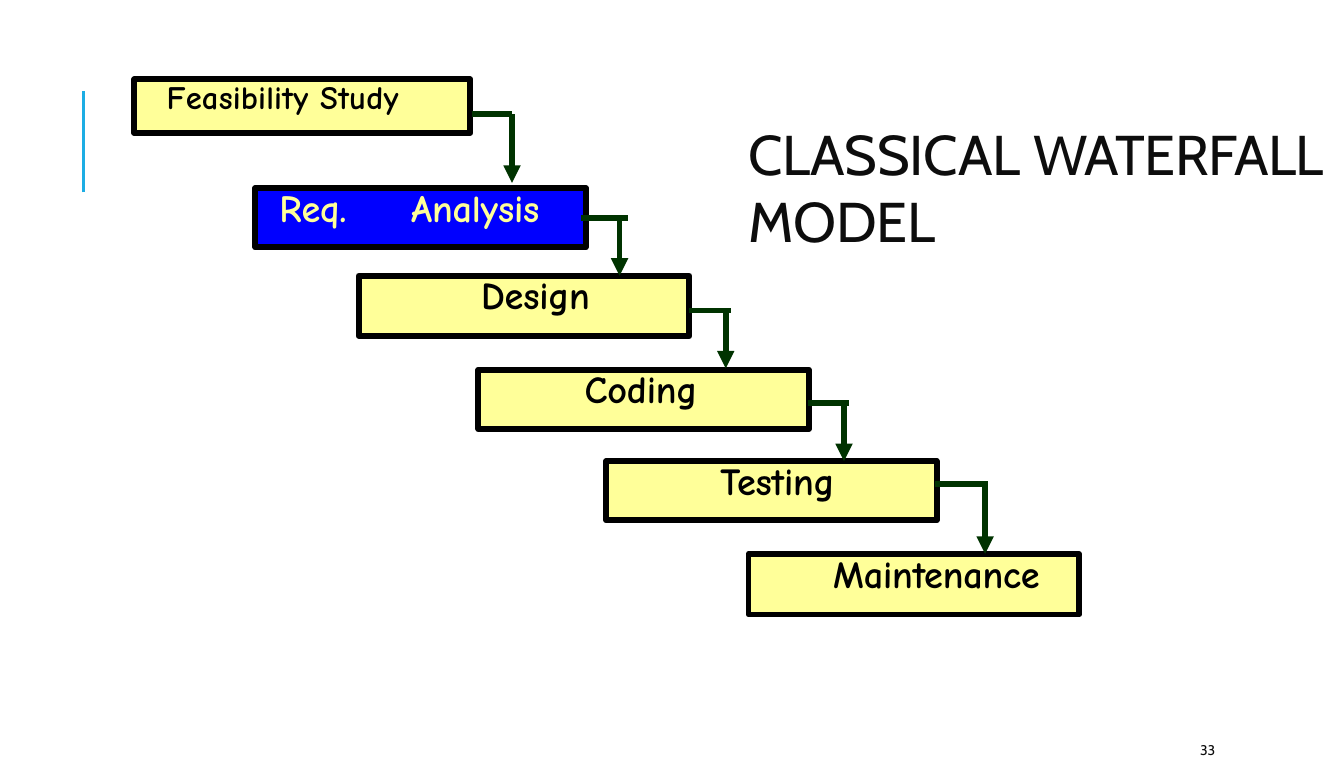
from lxml import etree
from pptx import Presentation
from pptx.dml.color import RGBColor
from pptx.enum.shapes import MSO_CONNECTOR, MSO_SHAPE
from pptx.enum.text import MSO_ANCHOR, MSO_AUTO_SIZE, PP_ALIGN
from pptx.oxml.ns import qn
from pptx.util import Emu, Pt

LINE, RECT = MSO_CONNECTOR.STRAIGHT, MSO_SHAPE.RECTANGLE
TOP, MID, LEFT = MSO_ANCHOR.TOP, MSO_ANCHOR.MIDDLE, PP_ALIGN.LEFT
FIXED = MSO_AUTO_SIZE.NONE

INK = RGBColor(0x0D, 0x0D, 0x0D)
BLACK = RGBColor(0, 0, 0)
SAND = RGBColor(0xFF, 0xFF, 0x99)
BLUE = RGBColor(0, 0, 0xFF)
GREEN = RGBColor(0, 0x33, 0)
SKY = RGBColor(0x1C, 0xAD, 0xE4)

HEAD_FONT, STEP_FONT = "Cabin", "Comic Neue"
SCALE = 9144  # EMU in a px, 100 px to the inch

# Text, box (left, top, width, height), text indent
STEPS = [
    ("Feasibility Study", (100, 59, 250, 40), 24),
    ("Req.\tAnalysis", (190, 140, 246, 44), 18),
    ("Design", (267, 205, 246, 45), 91),
    ("Coding", (356, 275, 246, 44), 79),
    ("Testing", (451, 343, 246, 44), 85),
    ("Maintenance", (557, 412, 246, 45), 63),
]
# Stub start, stub end, stem x, top, tip
ARROWS = [
    (351, 381, 381, 85, 136),
    (432, 467, 461, 162, 205),
    (513, 544, 540, 231, 274),
    (601, 632, 628, 300, 343),
    (696, 735, 733, 360, 412),
]


def px(count):
    return Emu(count * SCALE)


def assign(item, values):
    for name, value in values.items():
        setattr(item, name, value)


def set_frame(shape, anchor, indent=0):
    frame = shape.text_frame
    assign(frame, {
        "word_wrap": True, "auto_size": FIXED, "vertical_anchor": anchor,
        "margin_left": px(indent), "margin_right": 0,
        "margin_top": 0, "margin_bottom": 0,
    })
    para = frame.paragraphs[0]
    para.alignment = LEFT
    return para


def add_run(para, text, font, size, color, bold=False, track=-10):
    run = para.add_run()
    run.text = text
    assign(run.font, {"name": font, "size": Pt(size), "bold": bold})
    run.font.color.rgb = color
    run.font._element.set("spc", str(track))


def add_line(slide, start, end, color, width, arrow=False):
    line = slide.shapes.add_connector(LINE, *map(px, start + end))
    line.line.color.rgb = color
    line.line.width = Pt(width)
    if arrow:
        etree.SubElement(line.line._get_or_add_ln(), qn("a:tailEnd"),
                         type="triangle", w="med", len="med")
    etree.SubElement(line._element.spPr, qn("a:effectLst"))


def add_tab(para, place):
    tabs = etree.SubElement(para._p.get_or_add_pPr(), qn("a:tabLst"))
    etree.SubElement(tabs, qn("a:tab"), pos=str(px(place)), algn="l")


def add_step(slide, text, box, indent, first, active):
    shape = slide.shapes.add_shape(RECT, *map(px, box))
    shape.shadow.inherit = False
    shape.fill.solid()
    shape.fill.fore_color.rgb = BLUE if active else SAND
    shape.line.color.rgb = BLACK
    shape.line.width = Pt(3.12)
    para = set_frame(shape, TOP, indent)
    para.line_spacing = Pt(19.9 if first else 22.4)
    if "\t" in text:
        add_tab(para, 98)
    add_run(para, text, STEP_FONT, 17.5 if first else 20.5,
            SAND if active else BLACK, True, 10 if first else -10)


def add_title(slide):
    title = slide.shapes.title
    assign(title, {"left": px(557), "top": px(112),
                   "width": px(437), "height": px(53)})
    para = set_frame(title, MID)
    for text, track in (("CLASSICAL ", -10), ("WATERFALL ", -30), ("MODEL", -10)):
        add_run(para, text, HEAD_FONT, 30, INK, track=track)


def add_number(slide):
    box = slide.shapes.add_textbox(*map(px, (889, 531, 80, 23)))
    para = set_frame(box, MID, 4)
    para.line_spacing = Pt(31.4)
    add_run(para, "33", HEAD_FONT, 7.5, INK)


def main():
    deck = Presentation()
    assign(deck, {"slide_width": px(1000), "slide_height": px(563)})
    slide = deck.slides.add_slide(deck.slide_layouts[5])

    # Heading and page marks
    add_line(slide, (62, 143), (62, 68), SKY, 1.5)
    add_title(slide)
    add_number(slide)

    # Steps of the waterfall
    for rank, (text, box, indent) in enumerate(STEPS):
        add_step(slide, text, box, indent, rank == 0, rank == 1)

    # Arrows from each step to the next
    for start, end, stem, top, tip in ARROWS:
        add_line(slide, (start, top), (end, top), GREEN, 3.12)
        add_line(slide, (stem, top), (stem, tip), GREEN, 3.12, True)

    deck.save("out.pptx")


if __name__ == "__main__":
    main()
